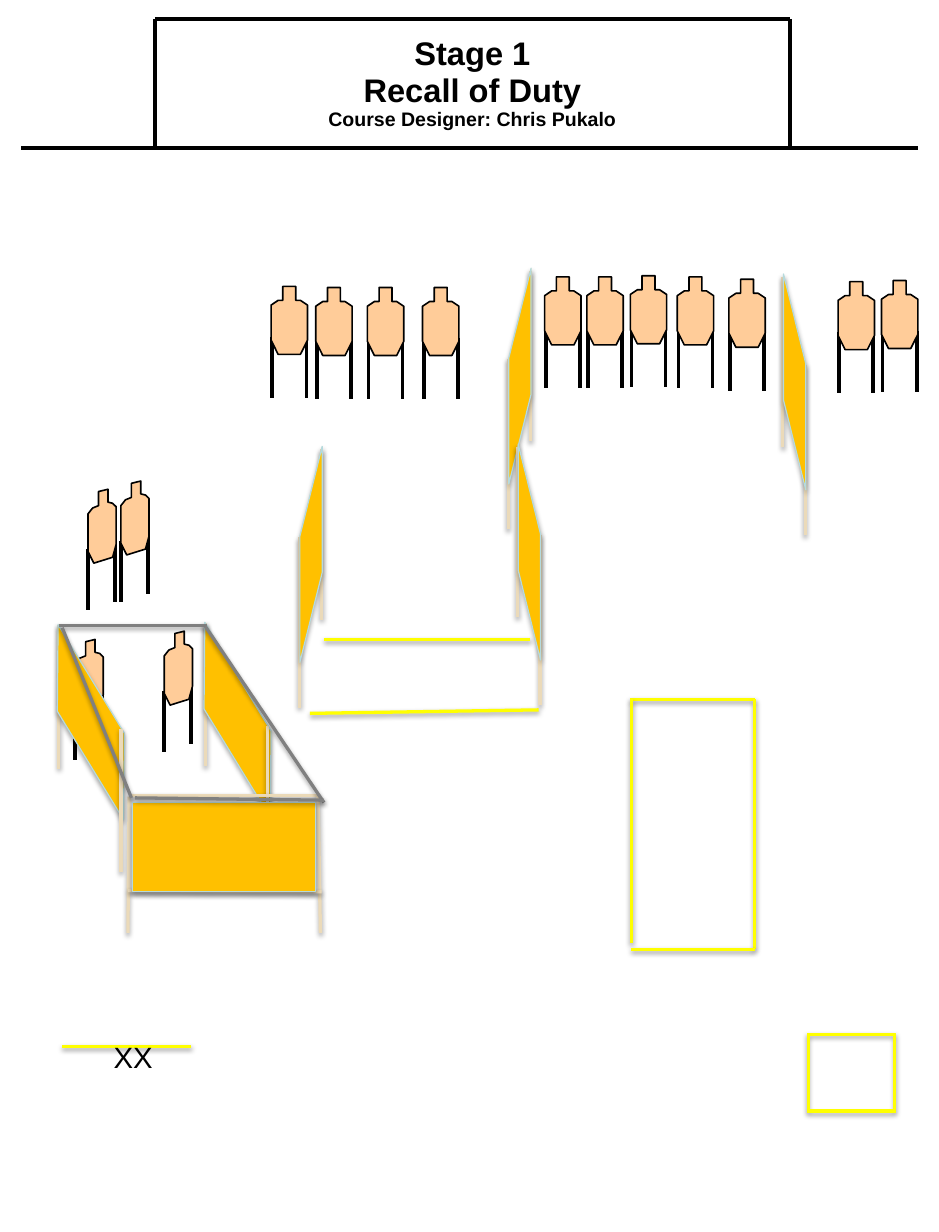
import pptx
import pptx.util
import pptx.dml.color
import pptx.enum.shapes
import pptx.enum.text
import pptx.oxml.ns
from lxml import etree

Inches = pptx.util.Inches
Pt = pptx.util.Pt
RGBColor = pptx.dml.color.RGBColor
SHAPE = pptx.enum.shapes.MSO_SHAPE
qn = pptx.oxml.ns.qn

BLACK = RGBColor(0x00, 0x00, 0x00)
WHITE = RGBColor(0xFF, 0xFF, 0xFF)
YELLOW = RGBColor(0xFF, 0xFF, 0x00)
GREY = RGBColor(0x80, 0x80, 0x80)
POST = RGBColor(0xEB, 0xDA, 0xB9)
PANEL = RGBColor(0xFF, 0xC0, 0x00)
PANEL_EDGE = RGBColor(0xB5, 0xDA, 0xDD)
CARDBOARD = RGBColor(0xFF, 0xCC, 0x99)

# Target outlines and legs (x, top, bottom), measured from the target's top left
FRONT_TARGET = {
    "outline": [(0.1, 0), (0.21, 0), (0.21, 0.12), (0.25, 0.12), (0.31, 0.16),
                (0.31, 0.46), (0.25, 0.58), (0.06, 0.58), (0, 0.46), (0, 0.16),
                (0.06, 0.12), (0.1, 0.12)],
    "legs": [(0.01, 0.43, 0.95), (0.3, 0.43, 0.95)],
}
ANGLED_TARGET = {
    "outline": [(0.09, 0.02), (0.17, 0), (0.17, 0.11), (0.21, 0.12), (0.24, 0.15),
                (0.24, 0.47), (0.21, 0.58), (0.05, 0.63), (0, 0.53), (0, 0.21),
                (0.04, 0.16), (0.09, 0.14)],
    "legs": [(0, 0.51, 1.03), (0.23, 0.44, 0.96)],
}


def set_values(item, values):
    for name, value in values.items():
        setattr(item, name, value)


def set_effects(shape, shadow=None):
    """Replace the theme effects by nothing, or by a shadow (alpha %, distance)."""
    properties = shape.element.spPr
    effects = etree.SubElement(properties, qn("a:effectLst"))
    if shadow:
        alpha, distance = shadow
        outer = etree.SubElement(
            effects, qn("a:outerShdw"), blurRad=str(Pt(3.1)),
            dist=str(Pt(distance)), dir="5400000", rotWithShape="0")
        color = etree.SubElement(outer, qn("a:srgbClr"), val="000000")
        etree.SubElement(color, qn("a:alpha"), val=str(alpha * 1000))


def add_line(shapes, start, end, color, width=2, shadow=(38, 1.6)):
    line = shapes.add_connector(
        pptx.enum.shapes.MSO_CONNECTOR.STRAIGHT,
        *(Inches(value) for value in (*start, *end)))
    line.line.color.rgb = color
    line.line.width = Pt(width)
    set_effects(line, shadow)


def paint(shape, fill, edge=None, width=0.75, shadow=None):
    shape.fill.solid()
    shape.fill.fore_color.rgb = fill
    if edge is None:
        shape.line.fill.background()
    else:
        shape.line.color.rgb = edge
        shape.line.width = Pt(width)
    set_effects(shape, shadow)


def add_panel(shapes, kind, box, fill=PANEL, edge=PANEL_EDGE, adjustment=None,
              rotation=0, flip=False):
    panel = shapes.add_shape(kind, *(Inches(value) for value in box))
    if adjustment is not None:
        panel.adjustments[0] = adjustment
    panel.rotation = rotation
    if flip:
        panel.element.spPr.xfrm.set("flipH", "1")
    paint(panel, fill, edge, shadow=(35, 1.8))


def add_post(shapes, x, top, length):
    add_line(shapes, (x, top), (x, top + length), POST)


def add_target(slide, kind, left, top):
    shapes = slide.shapes.add_group_shape().shapes
    for x, leg_top, leg_bottom in kind["legs"]:
        add_line(shapes, (left + x, top + leg_top), (left + x, top + leg_bottom),
                 BLACK, 2.25, None)
    points = [(Inches(left + x), Inches(top + y)) for x, y in kind["outline"]]
    builder = shapes.build_freeform(*points[0])
    builder.add_line_segments(points[1:], close=True)
    paint(builder.convert_to_shape(), CARDBOARD, BLACK, 1)


def add_side_wall(slide, left, top, high_right):
    """Steep wall whose taller post stands on the right or on the left."""
    shapes = slide.shapes.add_group_shape().shapes
    drops = (0.75, 0) if high_right else (0, 0.75)
    for x, drop in zip((left, left + 0.19), drops):
        add_post(shapes, x, top + drop, 1.45)
    add_panel(shapes, SHAPE.PARALLELOGRAM, (left - 0.82, top + 0.8, 1.84, 0.19),
              adjustment=4.026, rotation=90 if high_right else 270, flip=high_right)


def add_slanted_wall(slide, left, top):
    shapes = slide.shapes.add_group_shape().shapes
    add_post(shapes, left, top, 1.22)
    add_panel(shapes, SHAPE.PARALLELOGRAM, (left - 0.58, top + 0.63, 1.71, 0.39),
              adjustment=1.605, rotation=58.6, flip=True)
    add_post(shapes, left + 0.53, top + 0.88, 1.22)


def add_front_wall(slide):
    shapes = slide.shapes.add_group_shape().shapes
    for start, end in [((1.1, 6.79), (1.09, 7.95)), ((1.1, 6.78), (2.71, 6.78)),
                       ((2.71, 6.78), (2.73, 7.95)), ((1.09, 7.59), (2.74, 7.6))]:
        add_line(shapes, start, end, POST)
    add_panel(shapes, SHAPE.RECTANGLE, (1.13, 6.84, 1.56, 0.76))


def write_text(shape, lines, margins, frame_values, paragraph_values):
    """Fill a shape with (text, size, bold) lines."""
    frame = shape.text_frame
    names = ("margin_left", "margin_top", "margin_right", "margin_bottom")
    set_values(frame, dict(zip(names, map(Inches, margins))))
    set_values(frame, {"word_wrap": True, **frame_values})
    for index, (text, size, bold) in enumerate(lines):
        paragraph = frame.add_paragraph() if index else frame.paragraphs[0]
        set_values(paragraph, paragraph_values)
        run = paragraph.add_run()
        run.text = text
        set_values(run.font, {"name": "Arial", "size": Pt(size), "bold": bold})
        run.font.color.rgb = BLACK


def add_header(slide):
    shapes = slide.shapes.add_group_shape().shapes
    box = shapes.add_shape(SHAPE.RECTANGLE, Inches(1.32), Inches(0.16),
                           Inches(5.41), Inches(1.09))
    paint(box, WHITE)
    write_text(
        box,
        [("Stage 1", 20, True), ("Recall of Duty", 20, True),
         ("Course Designer: Chris Pukalo", 12, True)],
        (0.05, 0.07, 0.05, 0.05),
        {"vertical_anchor": pptx.enum.text.MSO_ANCHOR.MIDDLE},
        {"alignment": pptx.enum.text.PP_ALIGN.CENTER, "line_spacing": 0.93})
    left, right, top, bottom = 1.32, 6.73, 0.16, 1.26
    for start, end in [((left, top), (right, top)), ((0.18, bottom), (left, bottom)),
                       ((left, bottom), (right, bottom)),
                       ((right, bottom), (7.82, bottom)),
                       ((left, top), (left, bottom)), ((right, top), (right, bottom))]:
        add_line(shapes, start, end, BLACK, 2.15, None)


def main():
    presentation = pptx.Presentation()
    presentation.slide_width = Inches(8)
    presentation.slide_height = Inches(10.5)
    slide = presentation.slides.add_slide(presentation.slide_layouts[6])

    add_header(slide)

    # Walled room on the left, with its targets and top rails
    add_target(slide, ANGLED_TARGET, 0.64, 5.45)
    add_slanted_wall(slide, 1.75, 5.31)
    add_slanted_wall(slide, 0.5, 5.33)
    for left, top in [(1.03, 4.1), (0.75, 4.17), (1.4, 5.38)]:
        add_target(slide, ANGLED_TARGET, left, top)
    add_front_wall(slide)
    for start, end in [((0.5, 5.33), (1.76, 5.33)), ((1.75, 5.34), (2.76, 6.84)),
                       ((0.53, 5.35), (1.12, 6.8)), ((2.76, 6.82), (1.15, 6.8))]:
        add_line(slide.shapes, start, end, GREY)

    # Side walls
    for left, top, high_right in [(4.33, 2.31, True), (2.55, 3.83, True),
                                  (4.41, 3.81, False), (6.67, 2.36, False)]:
        add_side_wall(slide, left, top, high_right)

    # Back row of targets
    for left, top in [(2.31, 2.44), (3.6, 2.45), (3.13, 2.45), (2.69, 2.45),
                      (5.77, 2.36), (5.37, 2.35), (5, 2.36), (4.64, 2.36),
                      (7.14, 2.4), (7.51, 2.39), (6.21, 2.38)]:
        add_target(slide, FRONT_TARGET, left, top)

    # Fault lines and shooting boxes
    add_panel(slide.shapes, SHAPE.FRAME, (6.88, 8.81, 0.75, 0.67), YELLOW, YELLOW, 0.028)
    for start, end in [((2.64, 6.08), (4.59, 6.05)), ((2.76, 5.45), (4.52, 5.45)),
                       ((5.37, 5.96), (6.43, 5.96)), ((5.38, 5.96), (5.38, 8.04)),
                       ((6.43, 5.96), (6.43, 8.09)), ((6.43, 8.09), (5.38, 8.09)),
                       ((0.53, 8.92), (1.63, 8.92))]:
        add_line(slide.shapes, start, end, YELLOW)

    # Start position
    start_mark = slide.shapes.add_textbox(Inches(0.87), Inches(8.81),
                                          Inches(0.54), Inches(0.4))
    write_text(start_mark, [("XX", 18, False)], (0.1, 0.05, 0.1, 0.05),
               {"auto_size": pptx.enum.text.MSO_AUTO_SIZE.SHAPE_TO_FIT_TEXT}, {})

    presentation.save("out.pptx")


if __name__ == "__main__":
    main()
